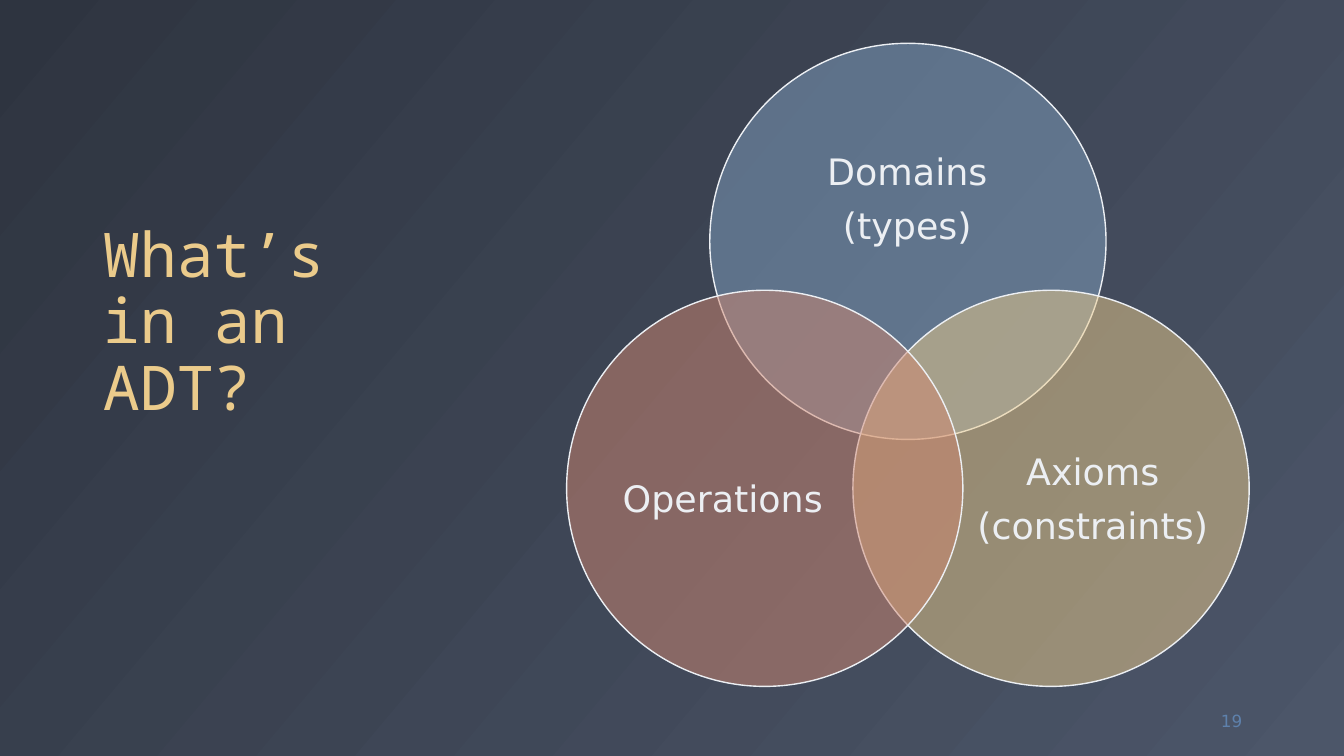
from lxml import etree
from pptx import Presentation
from pptx.dml.color import RGBColor
from pptx.enum.shapes import MSO_SHAPE
from pptx.enum.text import MSO_ANCHOR, MSO_AUTO_SIZE, PP_ALIGN
from pptx.oxml.ns import qn
from pptx.util import Inches, Pt

ELLIPSE = MSO_SHAPE.OVAL
MIDDLE, BOTTOM = MSO_ANCHOR.MIDDLE, MSO_ANCHOR.BOTTOM
LEFT, CENTER, RIGHT = PP_ALIGN.LEFT, PP_ALIGN.CENTER, PP_ALIGN.RIGHT
NO_AUTOFIT = MSO_AUTO_SIZE.NONE
TITLE_ONLY = 5


def rgb(value):
    return RGBColor.from_string(value)


class Deck:
    body_font = "DejaVu Sans"
    title_font = "Noto Sans Mono"
    light = "ECEFF3"
    gold = "EBCB8B"
    blue = "5E81AC"

    def __init__(self, width, height):
        self.presentation = Presentation()
        self.presentation.slide_width = Inches(width)
        self.presentation.slide_height = Inches(height)
        layout = self.presentation.slide_layouts[TITLE_ONLY]
        self.slide = self.presentation.slides.add_slide(layout)

    def background(self, colors, clockwise_angle):
        fill = self.slide.background.fill
        fill.gradient()
        fill.gradient_angle = 360 - clockwise_angle
        for stop, color in zip(fill.gradient_stops, colors):
            stop.color.rgb = rgb(color)

    def set_text(self, frame, lines, size, color, font, align, anchor,
                 spacing=1.0, after=0):
        frame.word_wrap = True
        frame.auto_size = NO_AUTOFIT
        frame.vertical_anchor = anchor
        frame.text = "\n".join(lines)
        for paragraph in frame.paragraphs:
            paragraph.alignment = align
            paragraph.line_spacing = spacing
            paragraph.space_before = Pt(0)
            paragraph.space_after = Pt(after)
            paragraph.font.size = Pt(size)
            paragraph.font.name = font
            paragraph.font.color.rgb = rgb(color)

    def title(self, wording, left, top, width, height):
        title = self.slide.shapes.title
        title.left, title.top = Inches(left), Inches(top)
        title.width, title.height = Inches(width), Inches(height)
        self.set_text(title.text_frame, [wording], 44, self.gold,
                      self.title_font, LEFT, BOTTOM, spacing=0.9)

    def text_box(self, left, top, width, height):
        box = self.slide.shapes.add_textbox(
            Inches(left), Inches(top), Inches(width), Inches(height))
        return box.text_frame

    def page_number(self, number, *place):
        self.set_text(self.text_box(*place), [number], 12, self.blue,
                      self.body_font, RIGHT, MIDDLE)

    def label(self, lines, *place):
        frame = self.text_box(*place)
        frame.margin_left = frame.margin_right = 0
        frame.margin_top = frame.margin_bottom = 0
        self.set_text(frame, lines, 26, self.light, self.body_font,
                      CENTER, MIDDLE, spacing=0.9, after=10.6)

    def circle(self, left, top, diameter, color, opacity):
        circle = self.slide.shapes.add_shape(
            ELLIPSE, Inches(left), Inches(top),
            Inches(diameter), Inches(diameter))
        circle.shadow.inherit = False
        circle.fill.solid()
        circle.fill.fore_color.rgb = rgb(color)
        solid = circle.element.spPr.find(qn("a:solidFill"))
        alpha = etree.SubElement(solid[0], qn("a:alpha"))
        alpha.set("val", str(opacity * 1000))
        circle.line.color.rgb = rgb(self.light)
        circle.line.width = Pt(1)


deck = Deck(13.33, 7.5)
deck.background(["2E3440", "4C5669"], 40)
deck.title("What’s in an ADT?", 0.92, 0.18, 3.5, 4.07)
deck.page_number("19", 11.59, 6.95, 0.83, 0.4)

diameter = 3.93
venn_left, venn_top = 7.04, 0.43
side_shift, drop = 1.42, 2.45
domains_label = (7.56, 1.11, 2.88, 1.77)
axioms_label = (9.66, 3.89, 2.36, 2.16)
operations_label = (5.99, 3.89, 2.36, 2.16)

adt_parts = [
    (["Domains", "(types)"], "81A1C1", 0, 0, domains_label),
    (["Axioms", "(constraints)"], "EBCB8B", side_shift, drop, axioms_label),
    (["Operations"], "D08770", -side_shift, drop, operations_label),
]
for lines, color, shift_x, shift_y, label_place in adt_parts:
    deck.circle(venn_left + shift_x, venn_top + shift_y, diameter, color, 50)
    deck.label(lines, *label_place)

deck.presentation.save("out.pptx")
